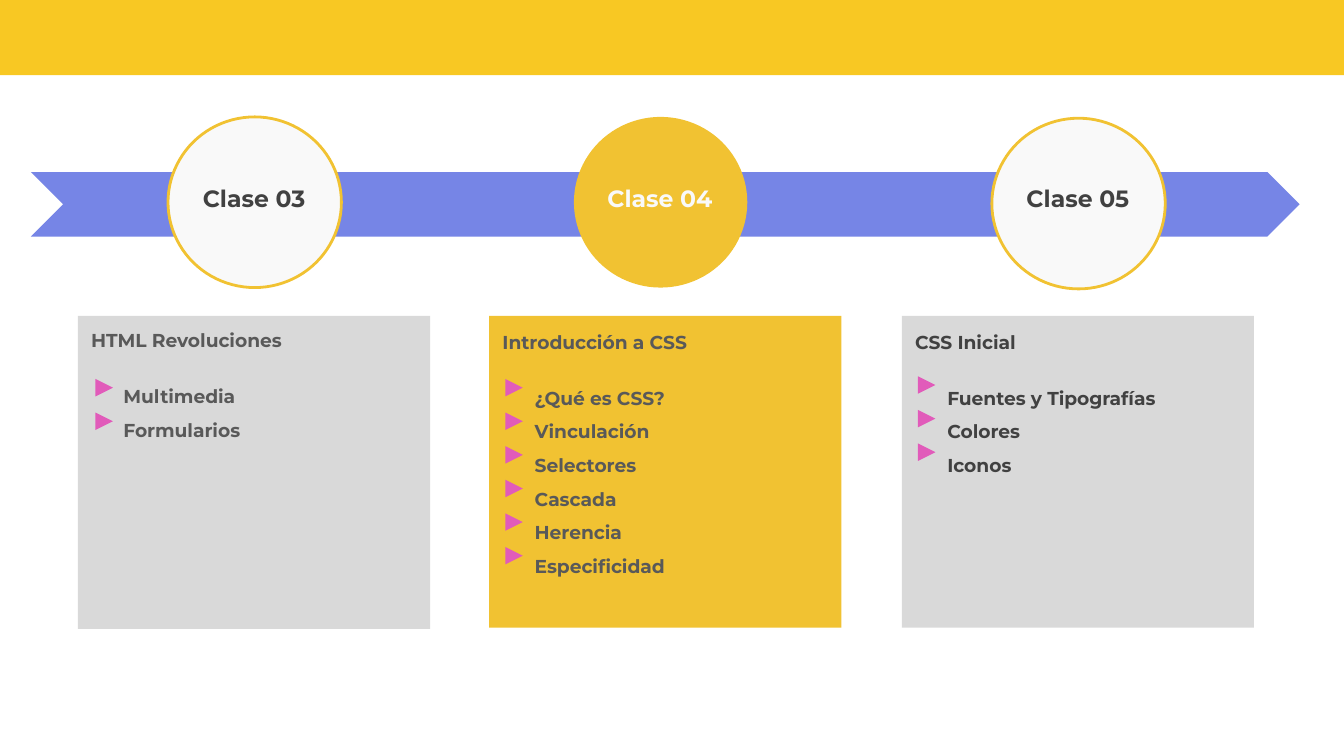
from pptx import Presentation
from pptx.dml.color import RGBColor
from pptx.enum.shapes import MSO_SHAPE
from pptx.enum.text import MSO_ANCHOR, MSO_AUTO_SIZE, PP_ALIGN
from pptx.util import Inches, Pt

BLUE = RGBColor(0x76, 0x85, 0xE6)
GOLD = RGBColor(0xF1, 0xC2, 0x32)
YELLOW = RGBColor(0xF8, 0xC8, 0x23)
PINK = RGBColor(0xE1, 0x5B, 0xBA)
OFF_WHITE = RGBColor(0xF9, 0xF9, 0xF9)
LIGHT_GRAY = RGBColor(0xD9, 0xD9, 0xD9)
GRAY = RGBColor(0x59, 0x59, 0x59)
DARK_GRAY = RGBColor(0x41, 0x41, 0x41)

CARD_TOP, CARD_WIDTH = 2.35, 2.62
MARKER_SIZE, MARKER_PITCH = 0.13, 0.25

CLASSES = [
    dict(label="Clase 03", circle=(1.25, 0.87), label_width=1, card_left=0.58,
         card_height=2.33, text_top=2.35, marker_left=0.71, marker_top=2.82,
         heading="HTML Revoluciones", color=GRAY,
         topics=["Multimedia", "Formularios"]),
    dict(label="Clase 04", circle=(4.27, 0.87), label_width=1.19, card_left=3.64,
         card_height=2.32, text_top=2.36, marker_left=3.76, marker_top=2.82,
         heading="Introducción a CSS", color=GRAY,
         topics=["¿Qué es CSS?", "Vinculación", "Selectores", "Cascada",
                 "Herencia", "Especificidad"], current=True),
    dict(label="Clase 05", circle=(7.38, 0.88), label_width=1, card_left=6.71,
         card_height=2.32, text_top=2.36, marker_left=6.83, marker_top=2.8,
         heading="CSS Inicial", color=DARK_GRAY,
         topics=["Fuentes y Tipografías", "Colores", "Iconos"]),
]


def add_block(s, kind, left, top, width, height, fill, line=None):
    """Add a filled preset shape, outlined only when a line colour is given."""
    sp = s.shapes.add_shape(kind, Inches(left), Inches(top), Inches(width), Inches(height))
    sp.shadow.inherit = False
    sp.fill.solid()
    sp.fill.fore_color.rgb = fill
    if line is None:
        sp.line.fill.background()
    else:
        sp.line.color.rgb = line
        sp.line.width = Pt(1.5)
    return sp


def place_text(sp, left, top, width, height):
    """Position a text shape and return its frame, anchored at the top."""
    sp.left, sp.top = Inches(left), Inches(top)
    sp.width, sp.height = Inches(width), Inches(height)
    tf = sp.text_frame
    tf.word_wrap = True
    tf.auto_size = MSO_AUTO_SIZE.NONE
    tf.vertical_anchor = MSO_ANCHOR.TOP
    tf.margin_left = tf.margin_right = tf.margin_top = tf.margin_bottom = Inches(0.1)
    return tf


def style(p, size, color):
    """Set the bold face, size and colour of a paragraph."""
    p.font.name = "Montserrat"
    p.font.size = Pt(size)
    p.font.bold = True
    p.font.color.rgb = color


def add_circle(s, item):
    """Add the timeline circle of a class."""
    current = item.get("current")
    add_block(s, MSO_SHAPE.OVAL, *item["circle"], 1.29, 1.27,
              GOLD if current else OFF_WHITE, None if current else GOLD)


def add_label(s, item):
    """Write the class name on its circle, as slide title for the current class."""
    if item.get("current"):
        sp = s.shapes.title
        s.shapes.element.append(sp.element)
    else:
        sp = s.shapes.add_textbox(0, 0, 0, 0)
    width = item["label_width"]
    center = item["circle"][0] + 0.64
    tf = place_text(sp, center - width / 2, 1.27, width, 0.33)
    p = tf.paragraphs[0]
    p.text = item["label"]
    p.alignment = PP_ALIGN.CENTER
    style(p, 12.6, OFF_WHITE if item.get("current") else DARK_GRAY)


def add_card(s, item):
    """Add a card with its heading, topics and triangular markers."""
    left, height = item["card_left"], item["card_height"]
    add_block(s, MSO_SHAPE.RECTANGLE, left, CARD_TOP, CARD_WIDTH, height,
              GOLD if item.get("current") else LIGHT_GRAY)
    tf = place_text(s.shapes.add_textbox(0, 0, 0, 0),
                    left, item["text_top"], CARD_WIDTH, height)
    p = tf.paragraphs[0]
    p.text = item["heading"]
    style(p, 10, item["color"])
    for i, topic in enumerate(item["topics"]):
        p = tf.add_paragraph()
        p.text = topic
        p.line_spacing = 1.5
        p.space_before = Pt(0 if i else 12)
        pPr = p._p.get_or_add_pPr()
        pPr.set("marL", str(Inches(0.24)))
        pPr.set("indent", "0")
        style(p, 10, item["color"])
        marker = add_block(s, MSO_SHAPE.ISOSCELES_TRIANGLE, item["marker_left"],
                           item["marker_top"] + i * MARKER_PITCH,
                           MARKER_SIZE, MARKER_SIZE, PINK)
        marker.rotation = 90


def main():
    """Build the class timeline slide."""
    prs = Presentation()
    prs.slide_width = Inches(10)
    prs.slide_height = prs.slide_width * 9 // 16
    s = prs.slides.add_slide(prs.slide_layouts[5])
    add_block(s, MSO_SHAPE.CHEVRON, 0.23, 1.28, 9.44, 0.48, BLUE)
    add_block(s, MSO_SHAPE.RECTANGLE, -0.01, -0.05, 10.03, 0.61, YELLOW)
    for item in CLASSES:
        add_circle(s, item)
        add_label(s, item)
        add_card(s, item)
    prs.save("out.pptx")


if __name__ == "__main__":
    main()
